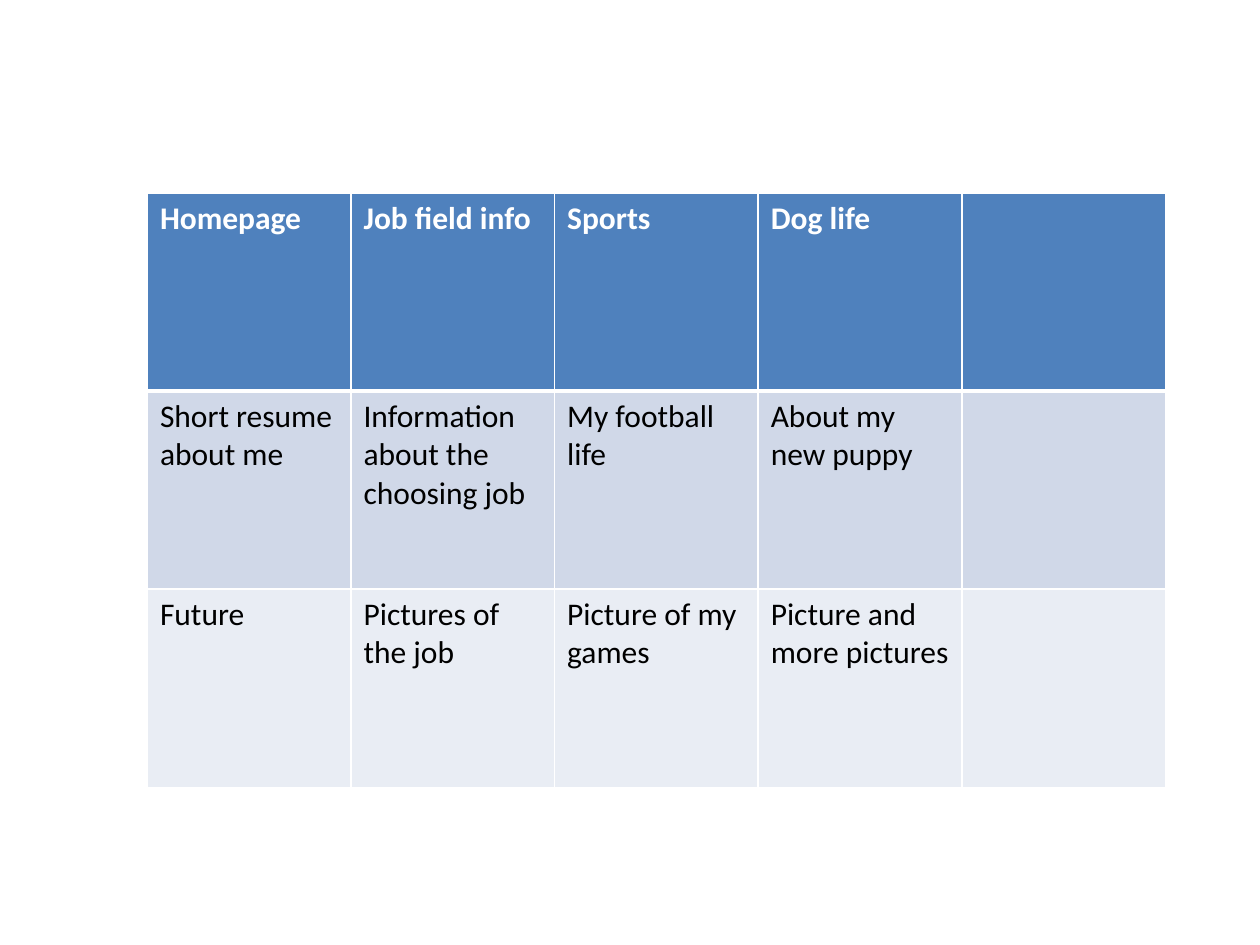
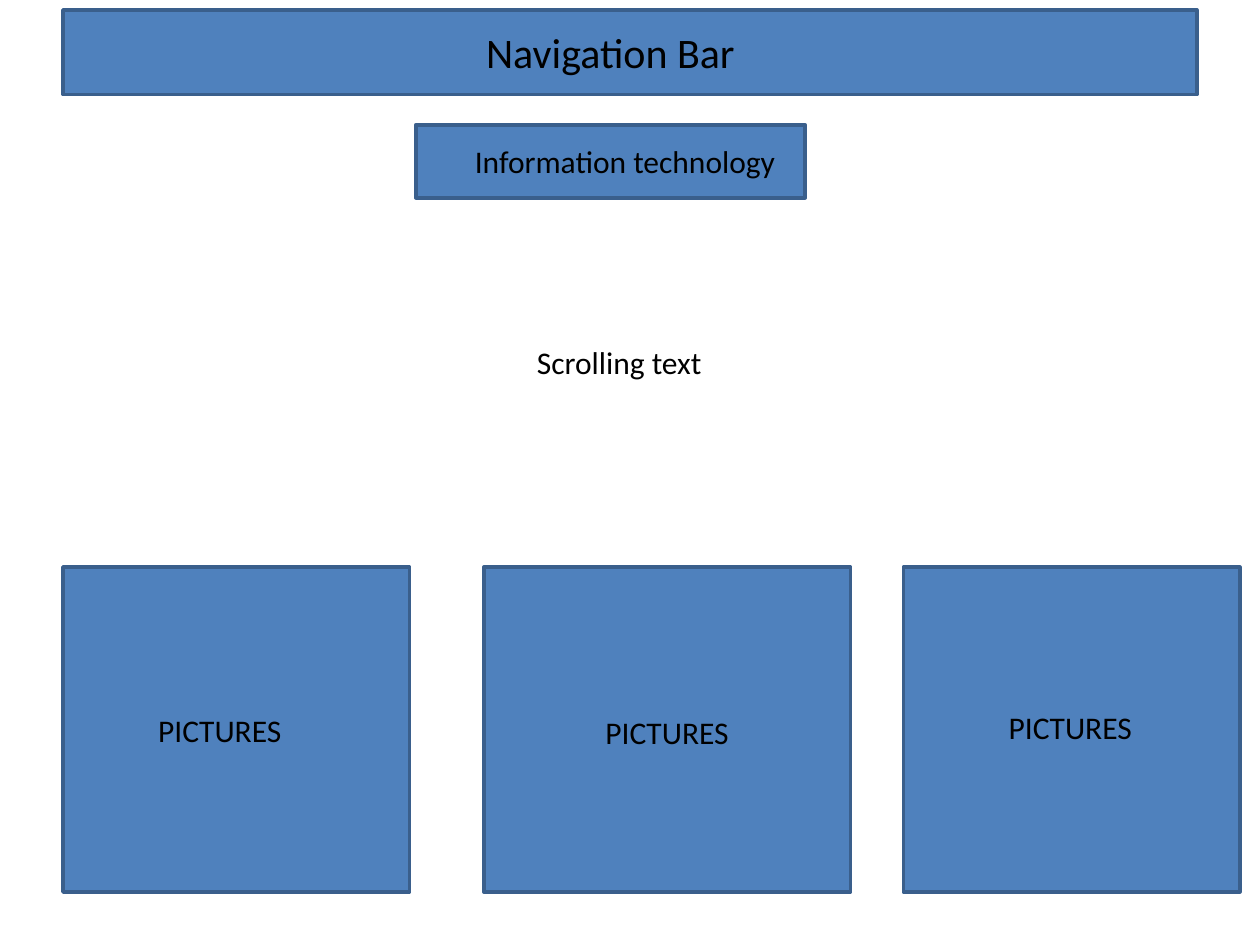
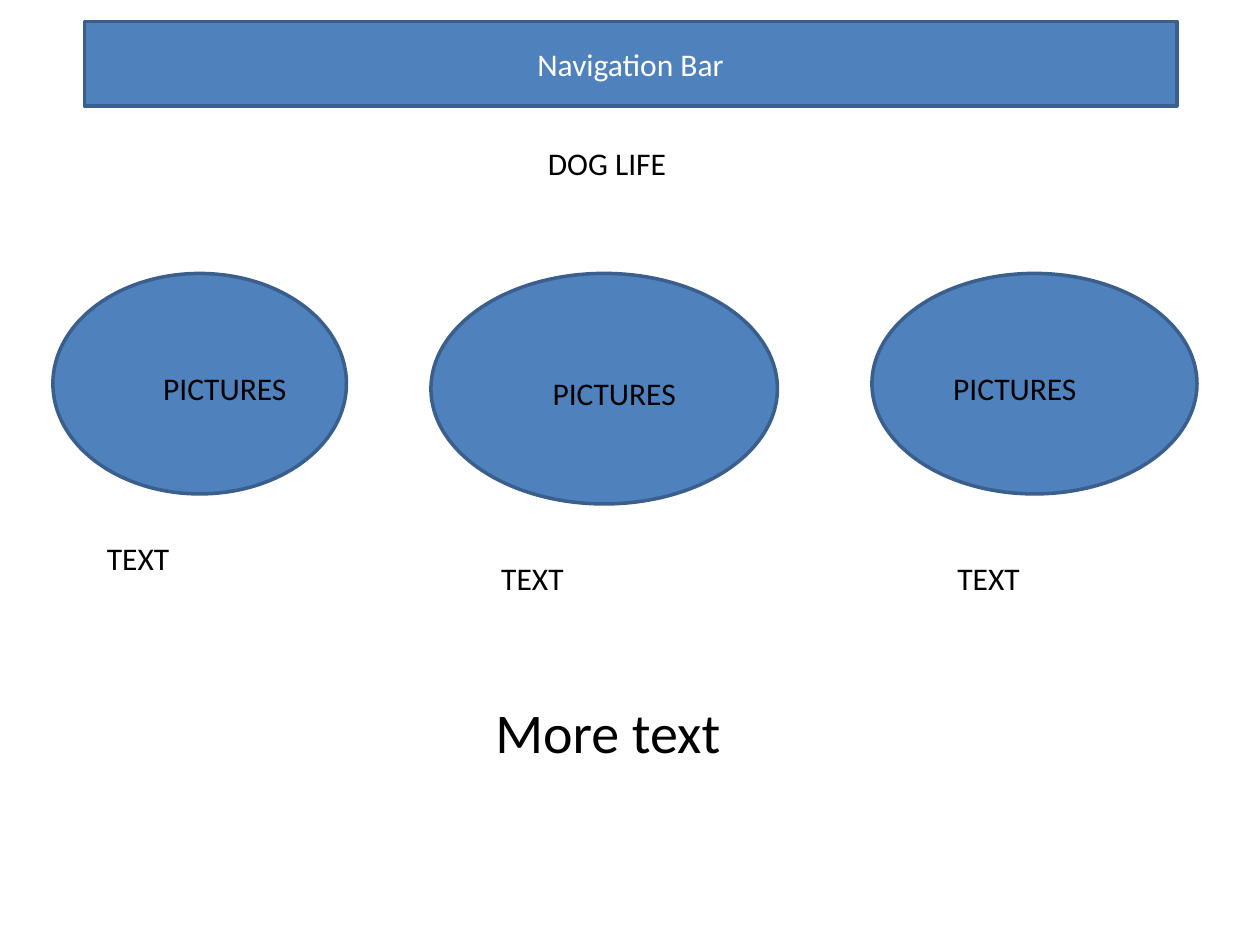
from pptx import Presentation
from pptx.dml.color import RGBColor
from pptx.enum.shapes import MSO_SHAPE as Shape
from pptx.enum.text import MSO_ANCHOR as Anchor, PP_ALIGN as Align
from pptx.oxml.ns import qn
from pptx.util import Emu, Pt
from lxml.etree import SubElement as Sub

PX = 9144  # EMU in one px, 100 px to the inch
FONT = "Calibri"
BLUE = RGBColor(0x4F, 0x81, 0xBD)
EDGE = RGBColor(0x3A, 0x5F, 0x8C)
DARK = RGBColor(0xD0, 0xD8, 0xE8)
PALE = RGBColor(0xE9, 0xED, 0xF4)
WHITE = RGBColor(0xFF, 0xFF, 0xFF)
BLACK = RGBColor(0x00, 0x00, 0x00)

ROWS = [
    ["Homepage", "Job field info", "Sports", "Dog life", ""],
    ["Short resume about me", "Information about the choosing job",
     "My football life", "About my new puppy", ""],
    ["Future", "Pictures of the job", "Picture of my games",
     "Picture and more pictures", ""],
]


def px(*sizes):
    return [Emu(size * PX) for size in sizes]


class Deck:
    """Holds the style and the current slide."""

    def __init__(self):
        self.prs = Presentation()
        self.prs.slide_width, self.prs.slide_height = px(1000, 750)

    def page(self):
        self.shapes = self.prs.slides.add_slide(self.prs.slide_layouts[6]).shapes

    def words(self, frame, text, size=18, color=BLACK, align=Align.LEFT, bold=False):
        para = frame.paragraphs[0]
        para.alignment = align
        run = para.add_run()
        run.text = text
        font = run.font
        font.name, font.size, font.bold = FONT, Pt(size), bold
        font.color.rgb = color

    def label(self, text, left, top, width, height=40, **style):
        box = self.shapes.add_textbox(*px(left, top, width, height))
        box.text_frame.word_wrap = True
        self.words(box.text_frame, text, **style)

    def block(self, left, top, width, height, kind=Shape.RECTANGLE, text=""):
        box = self.shapes.add_shape(kind, *px(left, top, width, height))
        box.shadow.inherit = False
        box.fill.solid()
        box.fill.fore_color.rgb = BLUE
        box.line.color.rgb = EDGE
        box.line.width = Pt(2)
        if text:
            box.text_frame.vertical_anchor = Anchor.MIDDLE
            self.words(box.text_frame, text, color=WHITE, align=Align.CENTER)

    def border(self, cell, **widths):
        """Draw white cell sides, with widths in points keyed L, R, T, B."""
        props = cell._tc.get_or_add_tcPr()
        for side, width in widths.items():
            line = Sub(props, qn(f"a:ln{side}"), w=str(Pt(width)))
            Sub(Sub(line, qn("a:solidFill")), qn("a:srgbClr"), val=str(WHITE))

    def table(self, rows, left, top, width, height):
        grid = self.shapes.add_table(
            len(rows), len(rows[0]), *px(left, top, width, height)).table
        for y, (row, fill) in enumerate(zip(rows, (BLUE, DARK, PALE))):
            head = y == 0
            for x, text in enumerate(row):
                cell = grid.cell(y, x)
                self.border(cell, L=1, R=1, T=3 if y == 1 else 1, B=3 if head else 1)
                cell.fill.solid()
                cell.fill.fore_color.rgb = fill
                if text:
                    self.words(cell.text_frame, text, bold=head,
                               color=WHITE if head else BLACK)


def plan(deck):
    deck.page()
    deck.table(ROWS, 117, 153, 808, 472)


def tech(deck):
    deck.page()
    deck.block(50, 8, 900, 67)
    deck.block(330, 99, 309, 58)
    deck.label("Information technology", 367, 108, 267, 71)
    deck.label("Scrolling text", 54, 267, 875, align=Align.CENTER)
    for left, width in (50, 275), (384, 291), (717, 267):
        deck.block(left, 450, width, 258)
    deck.label("Navigation Bar", 233, 16, 503, 50, size=24, align=Align.CENTER)
    for left, top in (8, 559), (363, 561), (683, 557):
        deck.label("PICTURES", left, top, 333, align=Align.CENTER)


def dog(deck):
    deck.page()
    deck.block(67, 17, 867, 67, text="Navigation Bar")
    deck.label("DOG LIFE", 425, 109, 425, 71)
    for left, width, height in (42, 233, 175), (342, 275, 183), (692, 258, 175):
        deck.block(left, 217, width, height, Shape.OVAL)
    for left, top in (75, 423), (388, 439), (750, 439):
        deck.label("TEXT", left, top, 183)
    deck.label("More text ", 225, 549, 525, 64, size=32, align=Align.CENTER)
    for left, top in (12, 288), (321, 292), (639, 288):
        deck.label("PICTURES", left, top, 333, align=Align.CENTER)


def main():
    deck = Deck()
    for draw in plan, tech, dog:
        draw(deck)
    deck.prs.save("out.pptx")


if __name__ == "__main__":
    main()
